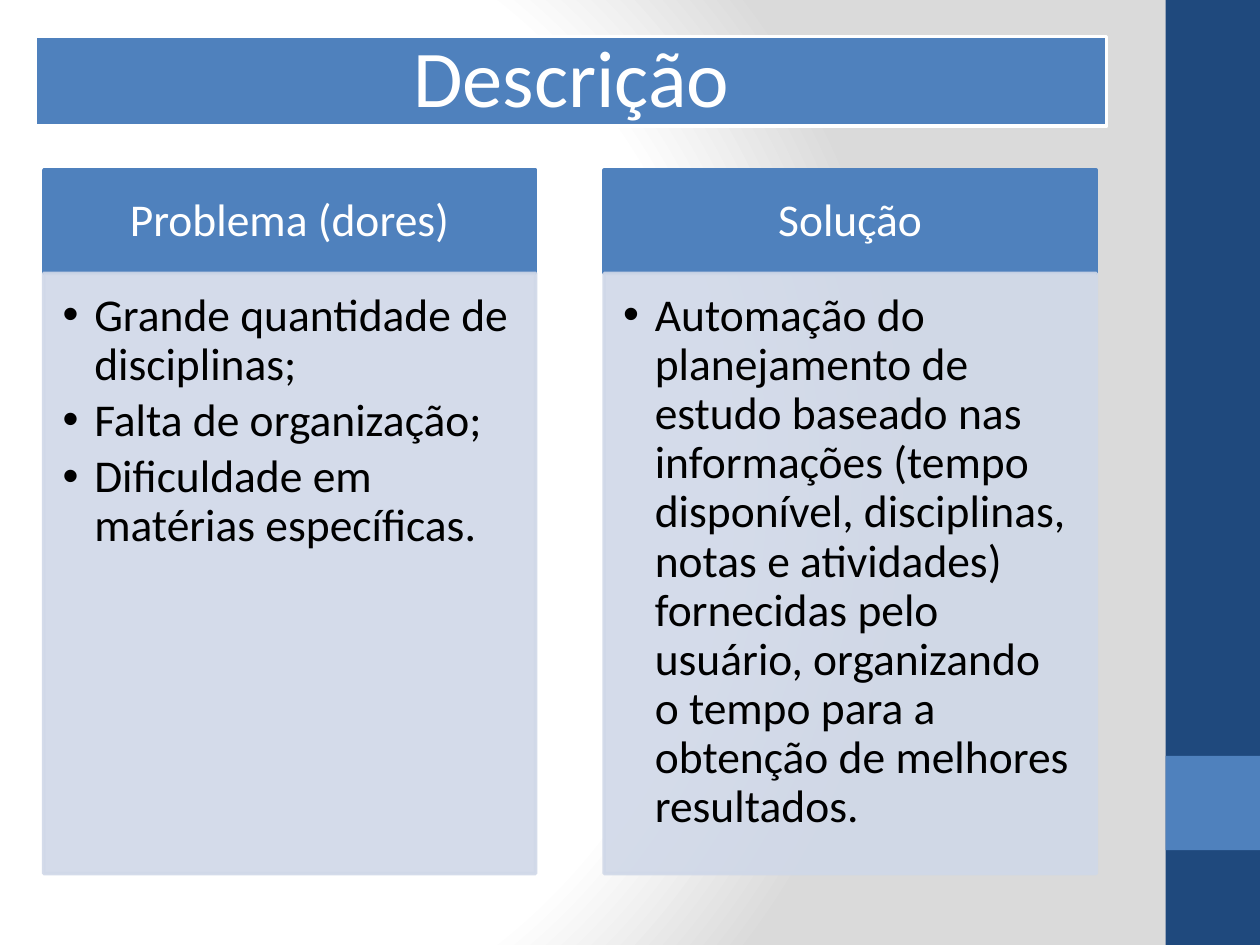
from lxml.etree import SubElement
from pptx import Presentation
from pptx.dml.color import RGBColor
from pptx.enum.shapes import MSO_SHAPE
from pptx.enum.text import MSO_ANCHOR, MSO_AUTO_SIZE, PP_ALIGN
from pptx.oxml import parse_xml
from pptx.oxml.ns import nsdecls, qn
from pptx.util import Cm, Pt

TITLE = "Descrição"
COLUMNS = [
    ("Problema (dores)", [
        "Grande quantidade de disciplinas;",
        "Falta de organização;",
        "Dificuldade em matérias específicas.",
    ]),
    ("Solução", [
        "Automação do planejamento de estudo baseado nas informações "
        "(tempo disponível, disciplinas, notas e atividades) fornecidas pelo "
        "usuário, organizando o tempo para a obtenção de melhores resultados.",
    ]),
]

NAVY, BLUE, PALE = "1F497D", "4F81BD", "D0D8E8"
WHITE, BLACK, GREY = "FFFFFF", "000000", "DADADA"

# Lengths in cm
PAGE_WIDTH, PAGE_HEIGHT = 25.4, 19.05
BAND_LEFT, BAND_WIDTH = 23.5, 1.9
TITLE_AREA = (0.72, 0.74, 21.59, 1.8)
COLUMN_LEFT, COLUMN_STEP, COLUMN_WIDTH = 0.88, 11.3, 9.92
HEADER_TOP, HEADER_HEIGHT, LIST_HEIGHT = 3.43, 2.08, 12.1
BULLET_INDENT = 0.64

TITLE_STYLE = {"size": 46, "color": WHITE, "align": PP_ALIGN.CENTER,
               "anchor": MSO_ANCHOR.MIDDLE, "after": 0,
               "insets": (0.48, 0.48, 0.48, 0.48)}
HEADER_STYLE = {"size": 26, "color": WHITE, "align": PP_ALIGN.CENTER,
                "anchor": MSO_ANCHOR.MIDDLE, "after": 0,
                "insets": (0.5, 0.3, 0.5, 0.3)}
LIST_STYLE = {"size": 26, "color": BLACK, "align": PP_ALIGN.LEFT,
              "anchor": MSO_ANCHOR.TOP, "after": 4,
              "insets": (0.38, 0.38, 0.5, 0.58)}


def set_color(target, color, alpha=None):
    """Make a fill solid, with an optional opacity in percent."""
    target.solid()
    target.fore_color.rgb = RGBColor.from_string(color)
    if alpha is not None:
        for node in target._xPr.iter(qn("a:srgbClr")):
            SubElement(node, qn("a:alpha"), val=str(alpha * 1000))


def set_background(slide):
    stops = "".join(
        f'<a:gs pos="{position * 1000}"><a:srgbClr val="{color}"/></a:gs>'
        for position, color in [(0, WHITE), (75, WHITE), (100, GREY)])
    slide._element.cSld.insert(0, parse_xml(
        f'<p:bg {nsdecls("p", "a")}><p:bgPr><a:gradFill rotWithShape="1">'
        f'<a:gsLst>{stops}</a:gsLst><a:path path="circle">'
        '<a:fillToRect l="20000" t="50000" r="100000" b="50000"/></a:path>'
        '</a:gradFill><a:effectLst/></p:bgPr></p:bg>'))


def add_band(slide, top, height, color):
    band = slide.shapes.add_shape(
        MSO_SHAPE.RECTANGLE, Cm(BAND_LEFT), Cm(top), Cm(BAND_WIDTH), Cm(height))
    band.shadow.inherit = False
    set_color(band.fill, color)
    band.line.fill.background()


def format_box(box, area, fill, line, alpha=None, geometry="rect"):
    for name, value in zip(("left", "top", "width", "height"), area):
        setattr(box, name, Cm(value))
    outline = SubElement(box._element.spPr, qn("a:prstGeom"), prst=geometry)
    SubElement(outline, qn("a:avLst"))
    set_color(box.fill, fill, alpha)
    set_color(box.line.fill, line, alpha)
    box.line.width = Pt(2)


def write(box, lines, style, bullets=False):
    frame = box.text_frame
    frame.text = "\n".join(lines)
    sides = ("margin_left", "margin_top", "margin_right", "margin_bottom")
    settings = dict(zip(sides, map(Cm, style["insets"])))
    settings |= {"word_wrap": True, "auto_size": MSO_AUTO_SIZE.NONE,
                 "vertical_anchor": style["anchor"]}
    for name, value in settings.items():
        setattr(frame, name, value)
    for para in frame.paragraphs:
        for name, value in {"alignment": style["align"], "line_spacing": 0.9,
                            "space_before": Pt(0),
                            "space_after": Pt(style["after"])}.items():
            setattr(para, name, value)
        if bullets:
            properties = para._p.get_or_add_pPr()
            properties.set("marL", str(Cm(BULLET_INDENT)))
            properties.set("indent", str(-Cm(BULLET_INDENT)))
            SubElement(properties, qn("a:buFont"), typeface="Arial")
            SubElement(properties, qn("a:buChar"), char="•")
        for span in para.runs:
            for name, value in {"name": "Calibri", "size": Pt(style["size"]),
                                "bold": False}.items():
                setattr(span.font, name, value)
            span.font.color.rgb = RGBColor.from_string(style["color"])


def main():
    deck = Presentation()
    deck.slide_width, deck.slide_height = Cm(PAGE_WIDTH), Cm(PAGE_HEIGHT)
    slide = deck.slides.add_slide(deck.slide_layouts.get_by_name("Comparison"))
    set_background(slide)
    add_band(slide, 0, PAGE_HEIGHT, NAVY)
    add_band(slide, 15.24, BAND_WIDTH, BLUE)

    title, *boxes = slide.placeholders
    format_box(title, TITLE_AREA, BLUE, WHITE, geometry="roundRect")
    write(title, [TITLE], TITLE_STYLE)

    pairs = zip(boxes[::2], boxes[1::2])
    for index, ((header, body), (heading, items)) in enumerate(zip(pairs, COLUMNS)):
        left = COLUMN_LEFT + index * COLUMN_STEP
        format_box(header, (left, HEADER_TOP, COLUMN_WIDTH, HEADER_HEIGHT),
                   BLUE, BLUE)
        write(header, [heading], HEADER_STYLE)
        format_box(body, (left, HEADER_TOP + HEADER_HEIGHT, COLUMN_WIDTH, LIST_HEIGHT),
                   PALE, PALE, alpha=90)
        write(body, items, LIST_STYLE, bullets=True)

    deck.save("out.pptx")


if __name__ == "__main__":
    main()
